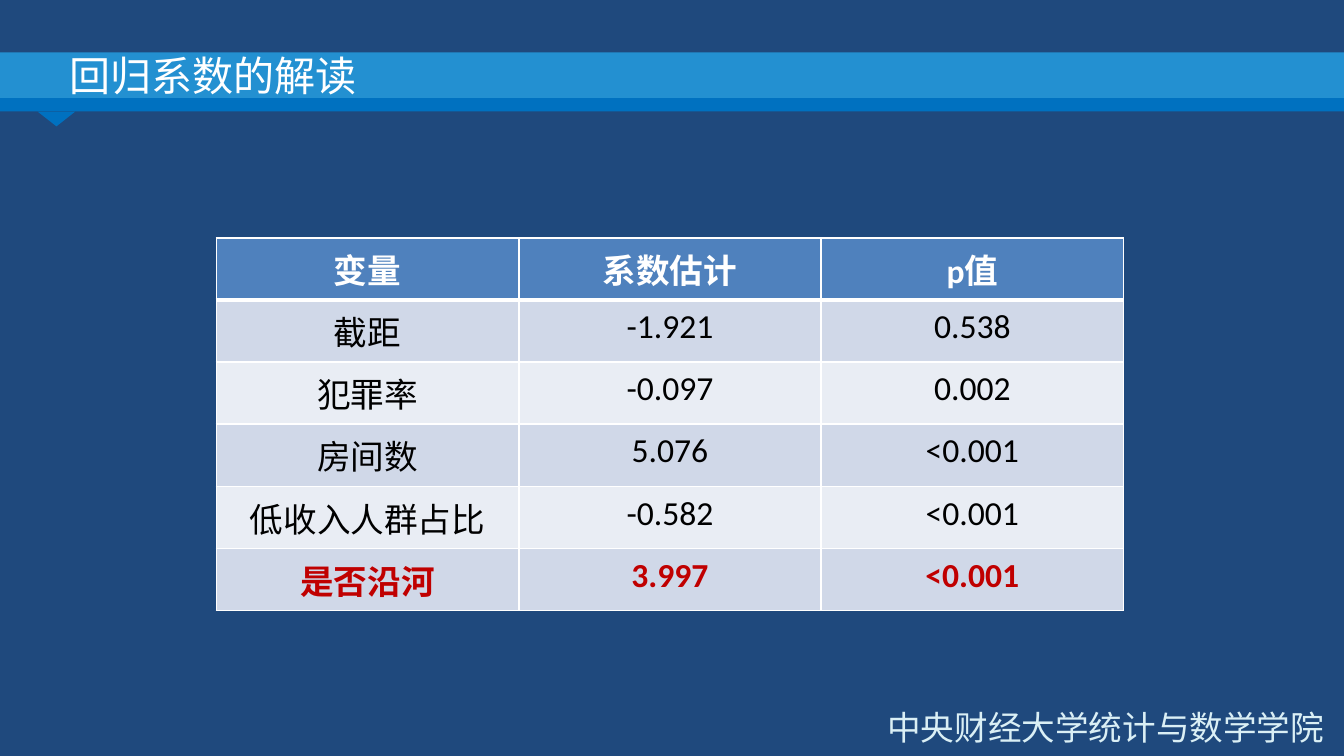
from lxml import etree
from pptx import Presentation, util as u
from pptx.dml.color import RGBColor
from pptx.enum import shapes, text
from pptx.oxml.ns import qn

# Content
HEADING = "回归系数的解读"
SCHOOL = "中央财经大学统计与数学学院"
COEFFICIENTS = [
    ("变量", "系数估计", "p值"),
    ("截距", "-1.921", "0.538"),
    ("犯罪率", "-0.097", "0.002"),
    ("房间数", "5.076", "<0.001"),
    ("低收入人群占比", "-0.582", "<0.001"),
    ("是否沿河", "3.997", "<0.001"),
]

# Look
NAVY = RGBColor(0x1F, 0x49, 0x7D)
SKY = RGBColor(0x23, 0x90, 0xD1)
BLUE = RGBColor(0x00, 0x71, 0xC0)
PALE = RGBColor(0xDA, 0xEF, 0xF5)
WHITE = RGBColor(0xFF, 0xFF, 0xFF)
BLACK = RGBColor(0x00, 0x00, 0x00)
RED = RGBColor(0xC0, 0x00, 0x00)
HEADER = RGBColor(0x4F, 0x81, 0xBD)
STRIPES = (RGBColor(0xE9, 0xED, 0xF4), RGBColor(0xD0, 0xD8, 0xE8))
CJK = "Noto Sans CJK SC"

# Grid, in inches, on a 16:9 slide
WIDTH = 10
HEIGHT = WIDTH * 9 / 16
COLUMN, ROW = 2.25, 0.41
TABLE_LEFT, TABLE_TOP = 1.61, 1.77


def box(left, top, width, height):
    return [u.Inches(length) for length in (left, top, width, height)]


def write(paragraph, words, size, color, font=CJK, bold=False):
    run = paragraph.add_run()
    run.text = words
    run.font.size, run.font.bold = u.Pt(size), bold
    run.font.color.rgb = color
    run.font.name = font
    etree.SubElement(run._r.get_or_add_rPr(), qn("a:ea"), typeface=CJK)


def add_band(kind, place, color):
    band = slide.shapes.add_shape(kind, *box(*place))
    band.shadow.inherit = False
    band.fill.solid()
    band.fill.fore_color.rgb = color
    band.line.fill.background()
    return band


def set_borders(cell, bottom):
    properties = cell._tc.get_or_add_tcPr()
    widths = {"a:lnL": 1, "a:lnR": 1, "a:lnT": 1, "a:lnB": bottom}
    for position, (side, points) in enumerate(widths.items()):
        line = etree.Element(qn(side), w=str(u.Pt(points)))
        fill = etree.SubElement(line, qn("a:solidFill"))
        etree.SubElement(fill, qn("a:srgbClr"), val=str(WHITE))
        properties.insert(position, line)


prs = Presentation()
prs.slide_width, prs.slide_height = u.Inches(WIDTH), u.Inches(HEIGHT)
slide = prs.slides.add_slide(prs.slide_layouts[5])
slide.background.fill.solid()
slide.background.fill.fore_color.rgb = NAVY

# Heading ribbon with its pointer
pointer = add_band(shapes.MSO_SHAPE.ISOSCELES_TRIANGLE, (0.28, 0.83, 0.28, 0.11), BLUE)
pointer.rotation = 180
add_band(shapes.MSO_SHAPE.RECTANGLE, (0, 0.39, WIDTH, 0.35), SKY)
add_band(shapes.MSO_SHAPE.RECTANGLE, (0, 0.73, WIDTH, 0.1), BLUE)

# School name
school = slide.shapes.add_textbox(*box(5.82, 5.21, 4.13, 0.4)).text_frame
school.word_wrap = True
school.paragraphs[0].alignment = text.PP_ALIGN.RIGHT
write(school.paragraphs[0], SCHOOL, 18, PALE)

# Heading, brought in front of the ribbon
heading = slide.shapes.title
heading.left, heading.top, heading.width, heading.height = box(0.42, 0.37, 9, 0.38)
slide.shapes._spTree.append(heading._element)
heading.text_frame.vertical_anchor = text.MSO_ANCHOR.MIDDLE
heading.text_frame.auto_size = text.MSO_AUTO_SIZE.NONE
heading.text_frame.paragraphs[0].alignment = text.PP_ALIGN.LEFT
write(heading.text_frame.paragraphs[0], HEADING, 22, WHITE)

# Coefficient table: the last row is the highlighted one
row_count, column_count = len(COEFFICIENTS), len(COEFFICIENTS[0])
table = slide.shapes.add_table(
    row_count, column_count,
    *box(TABLE_LEFT, TABLE_TOP, column_count * COLUMN, row_count * ROW)).table
for r, values in enumerate(COEFFICIENTS):
    is_header, is_key = r == 0, r == row_count - 1
    color = WHITE if is_header else RED if is_key else BLACK
    for c, value in enumerate(values):
        cell = table.cell(r, c)
        cell.fill.solid()
        cell.fill.fore_color.rgb = HEADER if is_header else STRIPES[r % 2]
        set_borders(cell, bottom=3 if is_header else 1)
        paragraph = cell.text_frame.paragraphs[0]
        paragraph.alignment = text.PP_ALIGN.CENTER
        write(paragraph, value, 18, color, "Calibri", is_header or is_key)

prs.save("out.pptx")
